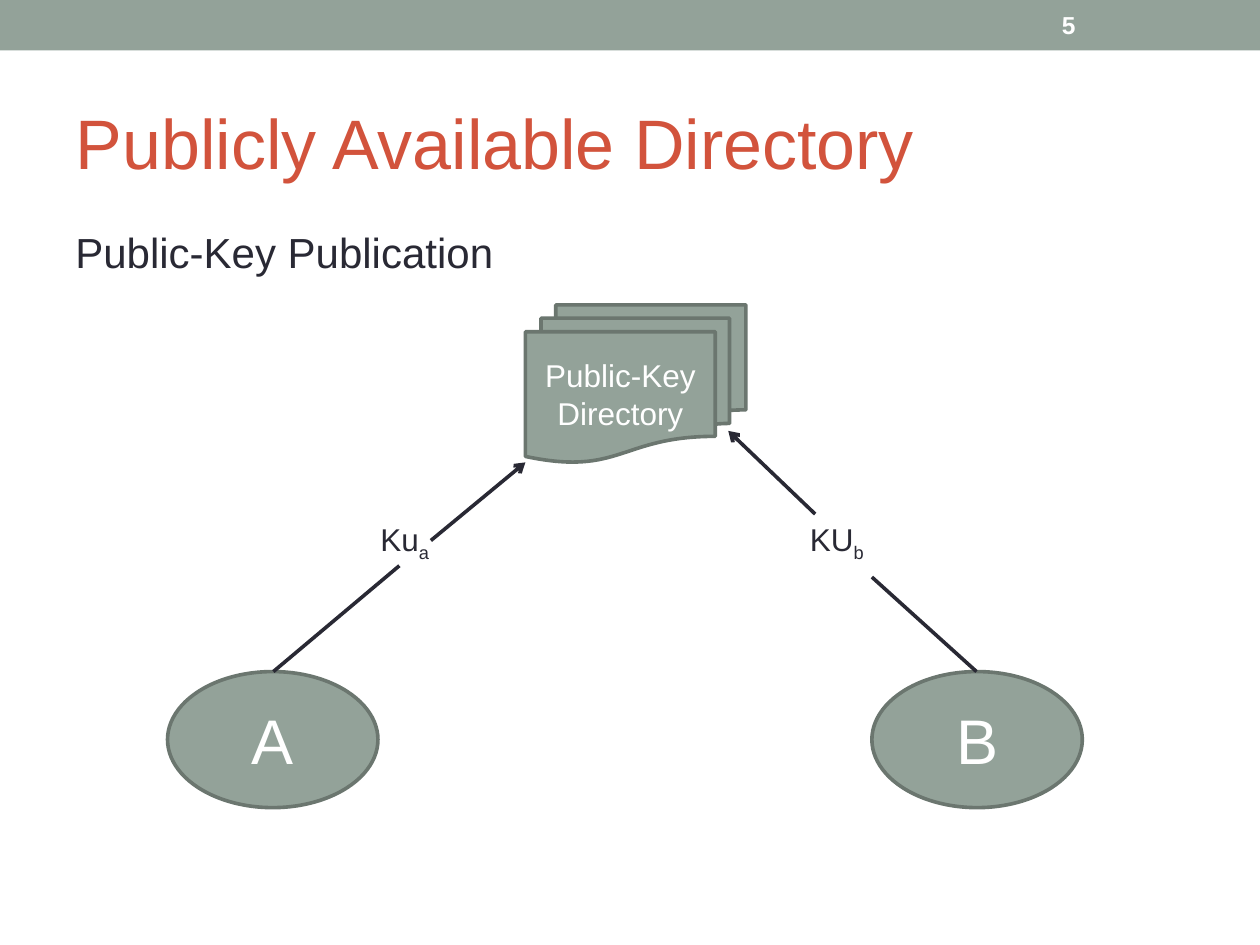
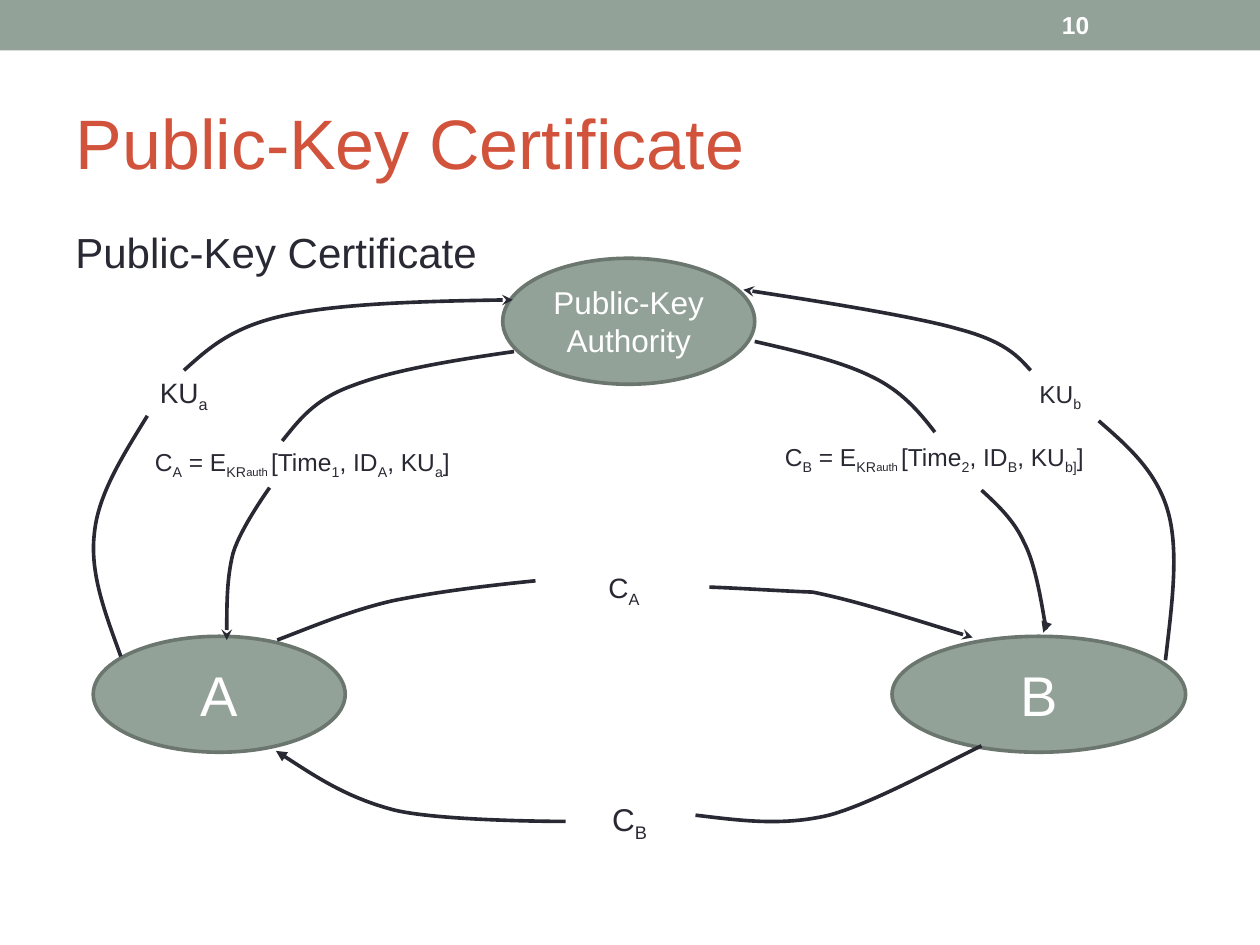
"""Build two slides on publishing and certifying public keys."""
from dataclasses import dataclass

import pptx
import pptx.dml.color
import pptx.enum.shapes
import pptx.enum.text
import pptx.oxml
import pptx.oxml.ns
import pptx.util
from lxml import etree

Inches = pptx.util.Inches
Pt = pptx.util.Pt
RGBColor = pptx.dml.color.RGBColor
SHAPES = pptx.enum.shapes.MSO_SHAPE
ANCHOR = pptx.enum.text.MSO_ANCHOR
ALIGN = pptx.enum.text.PP_ALIGN
qn = pptx.oxml.ns.qn

SAGE = RGBColor(0x93, 0xA2, 0x99)
DARK_SAGE = RGBColor(0x6B, 0x76, 0x6F)
RUST = RGBColor(0xD2, 0x53, 0x3C)
INK = RGBColor(0x29, 0x29, 0x34)
WHITE = RGBColor(0xFF, 0xFF, 0xFF)

FONT = "Arial"
LINE_WIDTH = Pt(2.07)
TITLE_ONLY = 5
FRAME = {"word_wrap": True, "auto_size": pptx.enum.text.MSO_AUTO_SIZE.NONE}
TITLE_FONT = {"size": Pt(40), "color": RUST}
SUBTITLE_FONT = {"size": Pt(24), "color": INK}
NUMBER_FONT = {"size": Pt(14), "color": WHITE, "bold": True}

PLAIN = {}
SUBSCRIPT = {"baseline": "-25000"}
SMALL_SUBSCRIPT = {"baseline": "-25000", "sz": "1100"}


@dataclass
class Box:
    """A region in inches that can place smaller regions within itself."""
    left: float
    top: float
    width: float
    height: float

    def inside(self, left, top, width, height):
        """Return a region offset from this one's top left corner."""
        return Box(self.left + left, self.top + top, width, height)

    def point(self, left, top):
        """Return a point within this region as lengths."""
        return Inches(self.left + left), Inches(self.top + top)

    def lengths(self):
        """Return left, top, width and height as lengths."""
        return [Inches(value) for value in
                (self.left, self.top, self.width, self.height)]


PAGE = Box(0, 0, 10, 7.5)
DIAGRAM = PAGE.inside(0, 2, 10, 5)


def apply_format(target, values):
    """Set each named attribute of the target."""
    for name, value in values.items():
        setattr(target, name, value)


def format_font(font, values):
    """Apply the shared typeface, a colour and other font values."""
    values = {"name": FONT, **values}
    font.color.rgb = values.pop("color")
    apply_format(font, values)


def write_text(shape, text, font, anchor=ANCHOR.TOP, alignment=ALIGN.LEFT):
    """Write one formatted paragraph into a shape."""
    frame = shape.text_frame
    apply_format(frame, {**FRAME, "vertical_anchor": anchor})
    paragraph = frame.paragraphs[0]
    paragraph.text = text
    paragraph.alignment = alignment
    format_font(paragraph.runs[0].font, font)


def add_node(slide, kind, box, text, size):
    """Add a sage shape with centred white text."""
    shape = slide.shapes.add_shape(kind, *box.lengths())
    shape.shadow.inherit = False
    shape.fill.solid()
    shape.fill.fore_color.rgb = SAGE
    shape.line.color.rgb = DARK_SAGE
    shape.line.width = LINE_WIDTH
    write_text(shape, text, {"size": Pt(size), "color": WHITE},
               ANCHOR.MIDDLE, ALIGN.CENTER)


def add_label(slide, box, runs, size):
    """Add a text label made of plain and subscript runs."""
    frame = slide.shapes.add_textbox(*box.lengths()).text_frame
    apply_format(frame, FRAME)
    for text, attributes in runs:
        run = frame.paragraphs[0].add_run()
        run.text = text
        format_font(run.font, {"size": Pt(size), "color": INK})
        for name, value in attributes.items():
            run._r.get_or_add_rPr().set(name, value)


def style_stroke(shape, arrow):
    """Give a line its colour and width and an optional end arrow."""
    shape.line.color.rgb = INK
    shape.line.width = LINE_WIDTH
    if arrow:
        etree.SubElement(shape.line._get_or_add_ln(), qn("a:tailEnd"), type=arrow)


def add_straight(slide, area, start, end, arrow=None):
    """Draw a straight connector between two points of the area."""
    connector = slide.shapes.add_connector(
        pptx.enum.shapes.MSO_CONNECTOR.STRAIGHT,
        *area.point(*start), *area.point(*end))
    style_stroke(connector, arrow)
    etree.SubElement(connector._element.spPr, qn("a:effectLst"))


def add_curve(slide, area, points, arrow=None):
    """Draw an open Bézier curve: a start, then three points per segment."""
    start, *others = [area.point(*point) for point in points]
    builder = slide.shapes.build_freeform(*start)
    builder.add_line_segments(others, close=False)
    shape = builder.convert_to_shape()
    steps = list(shape._element.iter(qn("a:lnTo")))
    for index in range(0, len(steps), 3):
        curve = etree.Element(qn("a:cubicBezTo"))
        steps[index].addprevious(curve)
        for step in steps[index:index + 3]:
            curve.append(step[0])
            step.getparent().remove(step)
    shape.fill.background()
    style_stroke(shape, arrow)
    shape.shadow.inherit = False


def add_band(slide, box, number):
    """Draw the top band with the slide number."""
    band = slide.shapes.add_shape(SHAPES.RECTANGLE, *box.lengths())
    band.shadow.inherit = False
    band.fill.solid()
    band.fill.fore_color.rgb = SAGE
    band.line.fill.background()
    number_box = slide.shapes.add_textbox(*box.inside(8.33, 0.02, 1.17, 0.36).lengths())
    write_text(number_box, str(number), NUMBER_FONT, ANCHOR.MIDDLE)


def add_slide(presentation, number, title, subtitle):
    """Add a slide with its band, title and subtitle."""
    slide = presentation.slides.add_slide(presentation.slide_layouts[TITLE_ONLY])
    add_band(slide, PAGE.inside(0, 0, PAGE.width, 0.4), number)
    heading = slide.shapes.title
    names = ("left", "top", "width", "height")
    apply_format(heading, dict(zip(names, PAGE.inside(0.5, 0.58, 9, 1.08).lengths())))
    write_text(heading, title, TITLE_FONT, ANCHOR.MIDDLE)
    subtitle_box = slide.shapes.add_textbox(*PAGE.inside(0.5, 1.75, 9, 0.6).lengths())
    write_text(subtitle_box, subtitle, SUBTITLE_FONT)
    return slide


def draw_directory(slide, area):
    """Draw two users publishing their keys in a directory."""
    add_node(slide, SHAPES.FLOWCHART_MULTIDOCUMENT,
             area.inside(4.17, 0.42, 1.75, 1.25), "Public-Key Directory", 18)
    for name, left in (("A", 1.33), ("B", 6.92)):
        add_node(slide, SHAPES.OVAL, area.inside(left, 3.33, 1.67, 1.08), name, 36)
    for key, owner, left in (("Ku", "a", 2.92), ("KU", "b", 6.33)):
        add_label(slide, area.inside(left, 2.08, 1.2, 0.44),
                  [(key, PLAIN), (owner, SUBSCRIPT)], 18)
    for start, end, arrow in (
            ((2.17, 3.33), (3.17, 2.49), None),
            ((7.75, 3.33), (6.92, 2.58), None),
            ((3.42, 2.29), (4.17, 1.67), "arrow"),
            ((6.47, 2.08), (5.78, 1.42), "arrow")):
        add_straight(slide, area, start, end, arrow)


def certificate_runs(user, time, key_owner):
    """Return the runs of a certificate formula."""
    return [("C", PLAIN), (user, SUBSCRIPT), (" = E", PLAIN), ("KR", SUBSCRIPT),
            ("auth ", SMALL_SUBSCRIPT), ("[Time", PLAIN), (time, SUBSCRIPT),
            (", ID", PLAIN), (user, SUBSCRIPT), (", KU", PLAIN),
            (key_owner, SUBSCRIPT), ("]", PLAIN)]


def draw_certificates(slide, area):
    """Draw an authority issuing certificates that two users exchange."""
    for text, size, place in (
            ("Public-Key Authority", 18, (3.99, 0.05, 2, 1)),
            ("A", 32, (0.74, 3.05, 2, 0.92)),
            ("B", 32, (7.08, 3.05, 2.33, 0.92))):
        add_node(slide, SHAPES.OVAL, area.inside(*place), text, size)

    for text, subscript, size, left, top in (
            ("KU", "a", 16, 1.17, 0.93), ("KU", "b", 14, 8.15, 0.96),
            ("C", "A", 16, 4.73, 2.48), ("C", "B", 18, 4.76, 4.3)):
        add_label(slide, area.inside(left, top, 0.9, 0.41),
                  [(text, PLAIN), (subscript, SUBSCRIPT)], size)
    for runs, left, top in (
            (certificate_runs("A", "1", "a"), 1.13, 1.5),
            (certificate_runs("B", "2", "b]"), 6.13, 1.46)):
        add_label(slide, area.inside(left, top, 2.78, 0.37), runs, 14)

    a_to_b = [
        ([(2.2, 3.08), (2.49, 2.97), (2.77, 2.85), (3.11, 2.77),
          (3.45, 2.7), (3.85, 2.65), (4.25, 2.61)], None),
        ([(5.63, 2.66), (5.9, 2.67), (6.18, 2.69), (6.45, 2.7),
          (6.8, 2.77), (7.26, 2.92), (7.72, 3.06)], "stealth")]
    b_to_a = [
        ([(7.79, 3.92), (7.59, 4.01), (6.95, 4.37), (6.58, 4.47),
          (6.2, 4.56), (5.86, 4.51), (5.52, 4.47)], None),
        ([(4.49, 4.52), (4.49, 4.52), (3.51, 4.52), (3.13, 4.43),
          (2.75, 4.33), (2.47, 4.14), (2.19, 3.96)], "triangle")]
    authority_to_a = [
        ([(4.08, 0.79), (3.59, 0.86), (3.11, 0.94), (2.8, 1.06),
          (2.49, 1.17), (2.37, 1.34), (2.24, 1.5)], None),
        ([(2.14, 1.87), (2.14, 1.87), (1.91, 2.19), (1.85, 2.39),
          (1.8, 2.59), (1.8, 2.84), (1.8, 3.08)], "stealth")]
    a_to_authority = [
        ([(0.96, 3.21), (0.84, 2.88), (0.71, 2.55), (0.75, 2.23),
          (0.78, 1.92), (0.98, 1.61), (1.17, 1.3)], None),
        ([(1.46, 0.94), (1.65, 0.77), (1.84, 0.59), (2.28, 0.5),
          (2.71, 0.41), (3.39, 0.39), (4.07, 0.38)], "stealth")]
    authority_to_b = [
        ([(5.99, 0.71), (6.34, 0.79), (6.68, 0.87), (6.92, 0.99),
          (7.15, 1.1), (7.29, 1.26), (7.42, 1.43)], None),
        ([(7.79, 1.89), (7.92, 2.01), (8.05, 2.13), (8.13, 2.31),
          (8.22, 2.48), (8.27, 2.81), (8.29, 2.92),
          (8.32, 3.04), (8.3, 3.03), (8.28, 3.02)], "triangle")]
    b_to_authority = [
        ([(9.25, 3.24), (9.3, 2.81), (9.36, 2.38), (9.27, 2.06),
          (9.18, 1.74), (8.95, 1.54), (8.72, 1.34)], None),
        ([(8.18, 0.94), (8.08, 0.83), (7.98, 0.71), (7.6, 0.61),
          (7.22, 0.5), (5.9, 0.3), (5.9, 0.3)], "stealth")]
    for route in (a_to_b, b_to_a, authority_to_a, a_to_authority,
                  authority_to_b, b_to_authority):
        for points, arrow in route:
            add_curve(slide, area, points, arrow)


def main():
    """Build and save the presentation."""
    presentation = pptx.Presentation()
    presentation.slide_width = Inches(PAGE.width)
    presentation.slide_height = Inches(PAGE.height)
    for number, title, subtitle, draw in (
            (5, "Publicly Available Directory", "Public-Key Publication", draw_directory),
            (10, "Public-Key Certificate", "Public-Key Certificate", draw_certificates)):
        draw(add_slide(presentation, number, title, subtitle), DIAGRAM)
    presentation.save("out.pptx")


if __name__ == "__main__":
    main()
